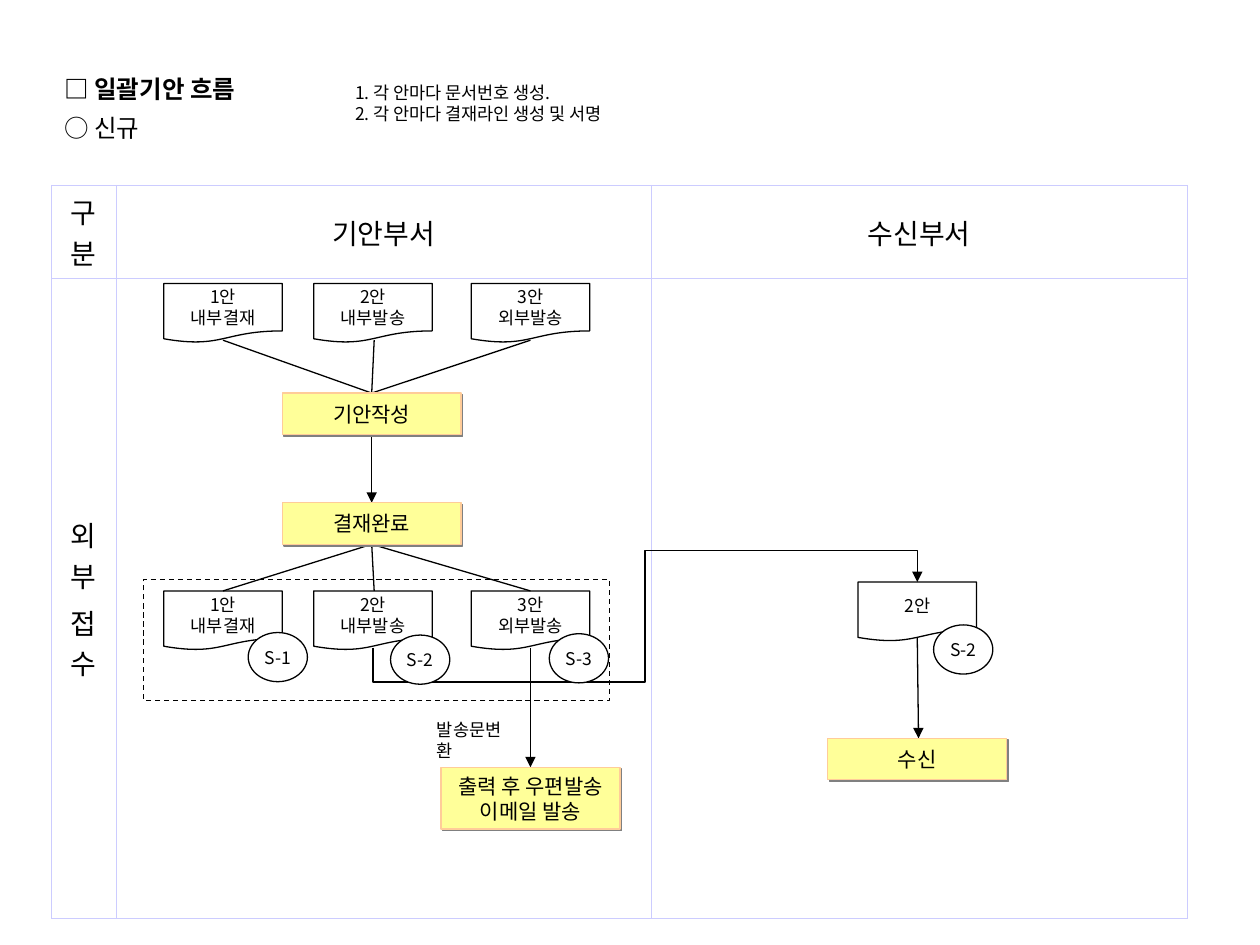
import pptx
import pptx.util
import pptx.dml.color
import pptx.enum.dml
import pptx.enum.shapes
import pptx.enum.text
import pptx.oxml
import pptx.oxml.ns
import lxml.etree

Inches, Pt = pptx.util.Inches, pptx.util.Pt
Kind = pptx.enum.shapes.MSO_SHAPE
Link = pptx.enum.shapes.MSO_CONNECTOR
Align, Anchor = pptx.enum.text.PP_ALIGN, pptx.enum.text.MSO_ANCHOR
qn = pptx.oxml.ns.qn
FONT = "Noto Sans CJK KR"
NS = 'xmlns:a="http://schemas.openxmlformats.org/drawingml/2006/main"'
SHADOW = (f'<a:effectLst {NS}><a:outerShdw dist="17780" dir="2700000" algn="tl" rotWithShape="0">'
          '<a:srgbClr val="808080"/></a:outerShdw></a:effectLst>')


def color(code):
    return pptx.dml.color.RGBColor.from_string(code)


def write(frame, lines, size, align=Align.CENTER, inset=(0.1, 0.05), wrap=False):
    """Fill a text frame or table cell with one paragraph per line."""
    frame.margin_left = frame.margin_right = Inches(inset[0])
    frame.margin_top = frame.margin_bottom = Inches(inset[1])
    frame.word_wrap = wrap
    frame.text = "\n".join(lines)
    for para in frame.paragraphs:
        para.alignment = align
        para.font.size = Pt(size)
        para.font.color.rgb = color("000000")
        para.font.name = FONT
        face = lxml.etree.SubElement(para.font._element, qn("a:ea"))
        face.set("typeface", FONT)


deck = pptx.Presentation()
deck.slide_width, deck.slide_height = Inches(10), Inches(7.5)
slide = deck.slides.add_slide(deck.slide_layouts[6])
shapes = slide.shapes

# Table with one column per department
table = shapes.add_table(2, 3, Inches(0.41), Inches(1.47), Inches(9.01), Inches(5.45)).table
table.first_row = table.horz_banding = False
for col, width in zip(table.columns, (0.51, 4.25, 4.25)):
    col.width = Inches(width)
for row, height in zip(table.rows, (0.37, 5.08)):
    row.height = Inches(height)
words = [["구분"], ["기안부서"], ["수신부서"], ["외부", "접수"], [], []]
for cell, lines in zip(table.iter_cells(), words):
    cell.vertical_anchor = Anchor.MIDDLE
    if lines:
        write(cell.text_frame, lines, 16, wrap=None)
        for para in cell.text_frame.paragraphs:
            para.space_before = Pt(4)
    props = cell._tc.get_or_add_tcPr()
    for side in ("lnL", "lnR", "lnT", "lnB"):
        props.append(pptx.oxml.parse_xml(
            f'<a:{side} {NS} w="5715"><a:solidFill><a:srgbClr val="CCCCFF"/></a:solidFill></a:{side}>'))
    cell.fill.background()

# Heading and notes
head = shapes.add_textbox(Inches(0.51), Inches(0.52), Inches(2.83), Inches(0.71)).text_frame
write(head, ["□ 일괄기안 흐름", "○ 신규"], 14, Align.LEFT, (0, 0), True)
head.paragraphs[0].font.bold = True
for para in head.paragraphs:
    para.line_spacing = 1.3
notes = [
    (2.72, 0.6, 3.23, 0.44, ["1. 각 안마다 문서번호 생성.", "2. 각 안마다 결재라인 생성 및 서명"]),
    (3.37, 5.66, 0.83, 0.27, ["발송문변환"]),
]
for x, y, w, h, lines in notes:
    box = shapes.add_textbox(Inches(x), Inches(y), Inches(w), Inches(h))
    write(box.text_frame, lines, 10, Align.LEFT)

# Straight lines: fan in, fan out, then arrows
mid = 2.95
docs = [(1.3, "1안", "내부결재"), (2.49, "2안", "내부발송"), (3.74, "3안", "외부발송")]
ports = [1.77, 2.97, 4.21]
paths = [(x, 2.7, mid, 3.12, False) for x in ports]
paths += [(mid, 4.32, x, 4.69, False) for x in ports]
paths += [(mid, 3.45, mid, 3.99, True), (4.21, 5.14, 4.21, 6.09, True),
          (7.28, 5.06, 7.29, 5.86, True)]
links = []
for x1, y1, x2, y2, arrow in paths:
    line = shapes.add_connector(Link.STRAIGHT, Inches(x1), Inches(y1), Inches(x2), Inches(y2))
    links.append((line, arrow))

# Five-part elbow from draft 2 to the receiving side, turned a quarter
bend = shapes.add_connector(Link.ELBOW, Inches(5.38), Inches(7.04), Inches(4.86), Inches(2.72))
bend._element.spPr.find(qn("a:xfrm")).set("rot", "5400000")
geom = bend._element.spPr.find(qn("a:prstGeom"))
geom.set("prst", "bentConnector5")
guides = geom.find(qn("a:avLst"))
if guides is None:
    guides = lxml.etree.SubElement(geom, qn("a:avLst"))
for num, val in enumerate((-52400, 50000, 147800), 1):
    guide = lxml.etree.SubElement(guides, qn("a:gd"))
    guide.set("name", f"adj{num}")
    guide.set("fmla", f"val {val}")
links.append((bend, True))

for line, arrow in links:
    line.line.color.rgb = color("000000")
    line.line.width = Pt(0.75)
    if arrow:
        tip = lxml.etree.SubElement(line.line._get_or_add_ln(), qn("a:tailEnd"))
        tip.set("type", "triangle")
    lxml.etree.SubElement(line._element.spPr, qn("a:effectLst"))

# Nodes: kind, left, top, width, height, lines, size, fill, line
DOC, BOX, OVAL = Kind.FLOWCHART_DOCUMENT, Kind.RECTANGLE, Kind.OVAL
nodes = [(DOC, x, y, 0.94, 0.47, text, 10, None, "000000")
         for y in (2.25, 4.69) for x, *text in docs]
nodes += [(DOC, 6.81, 4.62, 0.94, 0.47, ["2안"], 10, None, "000000"),
          (BOX, 1.14, 4.6, 3.7, 0.96, [], 10, None, "000000")]
steps = [(2.24, 3.12, 0.33, ["기안작성"]), (2.24, 3.99, 0.33, ["결재완료"]),
         (6.57, 5.86, 0.33, ["수신"]), (3.5, 6.09, 0.49, ["출력 후 우편발송", "이메일 발송"])]
nodes += [(BOX, x, y, 1.42, h, text, 12, "FFFF99", "FFCC99") for x, y, h, text in steps]
marks = [(4.36, 5.03, "S-3"), (3.1, 5.04, "S-2"), (1.97, 5.02, "S-1"), (7.41, 4.96, "S-2")]
nodes += [(OVAL, x, y, 0.47, 0.39, [text], 10, "FFFFFF", "000000") for x, y, text in marks]

for kind, x, y, w, h, lines, size, fill, edge in nodes:
    node = shapes.add_shape(kind, Inches(x), Inches(y), Inches(w), Inches(h))
    node.line.color.rgb = color(edge)
    node.line.width = Pt(0.75)
    if fill:
        node.fill.solid()
        node.fill.fore_color.rgb = color(fill)
    else:
        node.fill.background()
    if kind == BOX and fill:
        node._element.spPr.append(pptx.oxml.parse_xml(SHADOW))
    else:
        node.shadow.inherit = False
    if lines:
        node.text_frame.vertical_anchor = Anchor.MIDDLE
        write(node.text_frame, lines, size, inset=(0, 0) if kind == OVAL else (0.1, 0.05),
              wrap=kind == OVAL)
    else:
        node.line.dash_style = pptx.enum.dml.MSO_LINE.DASH

deck.save("out.pptx")
